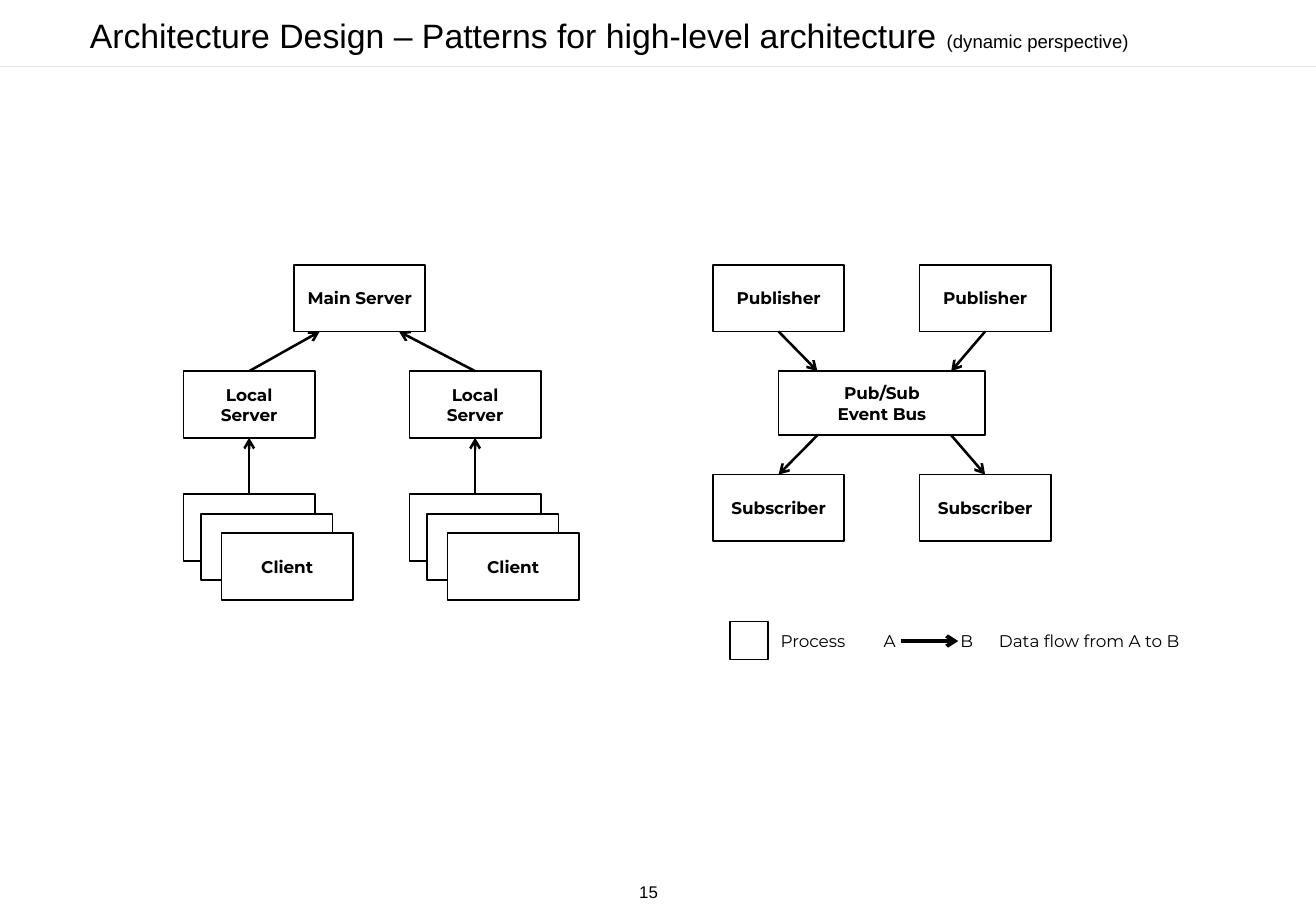
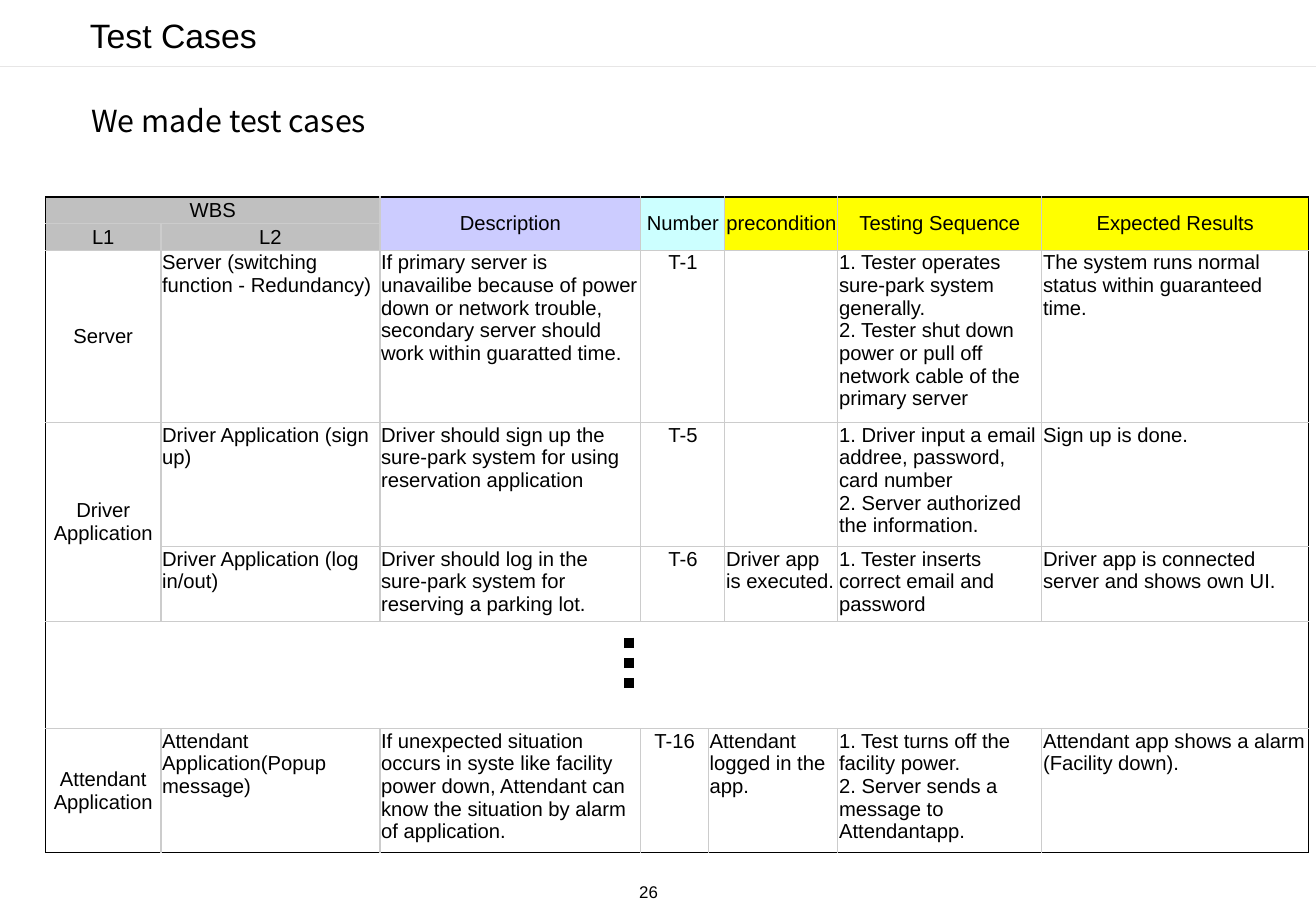
from lxml.etree import SubElement
from pptx import Presentation
from pptx.dml.color import RGBColor
from pptx.enum.dml import MSO_LINE
from pptx.enum.shapes import MSO_CONNECTOR, MSO_SHAPE
from pptx.enum.text import MSO_ANCHOR, MSO_AUTO_SIZE, PP_ALIGN
from pptx.oxml.ns import qn
from pptx.util import Pt

BLACK = RGBColor(0x00, 0x00, 0x00)
WHITE = RGBColor(0xFF, 0xFF, 0xFF)
RULE_GREY = RGBColor(0xE7, 0xE6, 0xE6)
GRID_GREY = RGBColor(0xCC, 0xCC, 0xCC)
WBS_GREY = RGBColor(0xC0, 0xC0, 0xC0)
LAVENDER = RGBColor(0xCC, 0xCC, 0xFF)
CYAN = RGBColor(0xCC, 0xFF, 0xFF)
YELLOW = RGBColor(0xFF, 0xFF, 0x00)

TEXT_FONT = "Arial"
DIAGRAM_FONT = "Montserrat"
LEAD_FONT = "Noto Sans CJK KR"
SLIDE_W, SLIDE_H = 780, 540
BOX_W, BOX_H = 77.8, 39.5
TITLE_LAYOUT, CONTENT_LAYOUT = 5, 1
NO_STYLE = "{2D5ABB26-0587-4C30-8999-92F81FD0307C}"

COLUMNS = (68.4, 129.8, 154.7, 40, 9.8, 67, 120.9, 158.2)
ROWS = (15.1, 15.1, 101.3, 72.9, 43.9, 63.4, 73.5)
MERGES = (
    ((0, 0), (0, 1)), ((0, 2), (1, 2)), ((0, 3), (1, 4)), ((0, 5), (1, 5)),
    ((0, 6), (1, 6)), ((0, 7), (1, 7)), ((2, 3), (2, 4)), ((3, 3), (3, 4)),
    ((3, 0), (4, 0)), ((4, 3), (4, 4)), ((5, 0), (5, 7)), ((6, 4), (6, 5)),
)
HEADER_FILLS = (WBS_GREY, WBS_GREY, LAVENDER, CYAN, CYAN, YELLOW, YELLOW, YELLOW)
TEST_CASES = (
    ("WBS", "", "Description", "Number", "", "precondition",
     "Testing Sequence", "Expected Results"),
    ("L1", "L2", "", "", "", "", "", ""),
    ("Server", "Server (switching function - Redundancy)",
     "If primary server is unavailibe because of power down or network trouble, "
     "secondary server should work within guaratted time.",
     "T-1", "", "",
     "1. Tester operates sure-park system generally.\n"
     "2. Tester shut down power or pull off network cable of the primary server",
     "The system runs normal status within guaranteed time."),
    ("Driver Application", "Driver Application (sign up)",
     "Driver should sign up the sure-park system for using reservation application",
     "T-5", "", "",
     "1. Driver input a email addree, password, card number\n"
     "2. Server authorized the information.",
     "Sign up is done."),
    ("", "Driver Application (log in/out)",
     "Driver should log in the sure-park system for reserving a parking lot.",
     "T-6", "", "Driver app\nis executed.",
     "1. Tester inserts correct email and password",
     "Driver app is connected server and shows own UI."),
    ("",) * 8,
    ("Attendant Application", "Attendant Application(Popup message)",
     "If unexpected situation occurs in syste like facility power down, "
     "Attendant can know the situation by alarm of application.",
     "T-16", "Attendant logged in the app.", "",
     "1. Test turns off the facility power.\n"
     "2. Server sends a message to Attendantapp.",
     "Attendant app shows a alarm (Facility down)."),
)


def format_text(frame, font, size, bold=False, align=PP_ALIGN.LEFT):
    """Give every paragraph and run of a frame one style."""
    for paragraph in frame.paragraphs:
        paragraph.alignment = align
        paragraph.space_before = Pt(0)
        for run in paragraph.runs:
            run.font.name = font
            run.font.size = Pt(size)
            run.font.bold = bold
            run.font.color.rgb = BLACK


def place(shape, left, top, width, height):
    """Move and resize a shape, in points."""
    shape.left, shape.top = Pt(left), Pt(top)
    shape.width, shape.height = Pt(width), Pt(height)


def add_line(slide, start, end, color=BLACK, weight=1.5, arrow=False):
    """Draw a straight line, with an open arrowhead at its end if wanted."""
    line = slide.shapes.add_connector(
        MSO_CONNECTOR.STRAIGHT, *(Pt(value) for value in (*start, *end)))
    line.line.color.rgb = color
    line.line.width = Pt(weight)
    if arrow:
        SubElement(line.line._get_or_add_ln(), qn("a:tailEnd"), type="arrow")
    SubElement(line._element.spPr, qn("a:effectLst"))
    return line


def add_label(slide, text, left, top, width, height, font=DIAGRAM_FONT):
    """Add a plain 10 pt text box."""
    label = slide.shapes.add_textbox(Pt(left), Pt(top), Pt(width), Pt(height))
    label.text_frame.word_wrap = True
    label.text_frame.text = text
    format_text(label.text_frame, font, 10)
    return label.text_frame


def add_box(slide, text, left, top, width=BOX_W, height=BOX_H, filled=False):
    """Draw an outlined process box with a centred bold caption."""
    box = slide.shapes.add_shape(
        MSO_SHAPE.RECTANGLE, Pt(left), Pt(top), Pt(width), Pt(height))
    box.shadow.inherit = False
    if filled:
        box.fill.solid()
        box.fill.fore_color.rgb = WHITE
    else:
        box.fill.background()
    box.line.color.rgb = BLACK
    box.line.width = Pt(1)
    if text:
        box.text_frame.text = text
        box.text_frame.vertical_anchor = MSO_ANCHOR.MIDDLE
        format_text(box.text_frame, DIAGRAM_FONT, 10, True, PP_ALIGN.CENTER)


def fill_placeholder(placeholder, text, font, size, anchor):
    """Write unbulleted text, indented by half an inch, in a placeholder."""
    frame = placeholder.text_frame
    frame.text = text
    frame.auto_size = MSO_AUTO_SIZE.NONE
    frame.vertical_anchor = anchor
    frame.margin_left = Pt(43.2)
    properties = frame.paragraphs[0]._p.get_or_add_pPr()
    properties.set("marL", "0")
    properties.set("indent", "0")
    SubElement(properties, qn("a:buNone"))
    format_text(frame, font, size)


def start_slide(deck, layout, title, number, subtitle=""):
    """Add a slide with its title, header rule and page number."""
    slide = deck.slides.add_slide(deck.slide_layouts[layout])
    heading = slide.shapes.title
    place(heading, 10, 2.5, 754, 36)
    fill_placeholder(heading, title, TEXT_FONT, 20, MSO_ANCHOR.MIDDLE)
    if subtitle:
        note = heading.text_frame.paragraphs[0].add_run()
        note.text = subtitle
        note.font.name = TEXT_FONT
        note.font.size = Pt(11)
        note.font.color.rgb = BLACK
    add_line(slide, (0, 39.5), (SLIDE_W, 39.5), RULE_GREY, 1)
    page = add_label(slide, number, 376, 520, 18, 18, TEXT_FONT)
    page.margin_left = page.margin_right = Pt(2.9)
    page.margin_top = page.margin_bottom = Pt(2.9)
    return slide


def add_server_tree(slide):
    """Draw clients reporting to local servers and a main server."""
    main_top, local_top, client_top = 157, 220, 293
    add_box(slide, "Main Server", 174.3, main_top)
    for left, main_entry in ((108.8, 189.5), (242.7, 236.5)):
        center = left + BOX_W / 2
        add_box(slide, "Local Server", left, local_top)
        for dx, dy, caption in ((0, 0, ""), (10.5, 11.5, ""), (22.5, 23, "Client")):
            add_box(slide, caption, left + dx, client_top + dy, filled=dx > 0)
        add_line(slide, (center, client_top), (center, local_top + BOX_H), arrow=True)
        add_line(slide, (center, local_top), (main_entry, main_top + BOX_H), arrow=True)


def add_event_bus(slide):
    """Draw publishers and subscribers joined by the event bus."""
    publisher_top, bus_top, bus_height, subscriber_top = 157, 220, 38, 281.3
    add_box(slide, "Pub/Sub\nEvent Bus", 461.5, bus_top, 122.4, bus_height)
    for left, port in ((422.6, 484.5), (545, 563.8)):
        center = left + BOX_W / 2
        add_box(slide, "Publisher", left, publisher_top)
        add_box(slide, "Subscriber", left, subscriber_top)
        add_line(slide, (center, publisher_top + BOX_H), (port, bus_top), arrow=True)
        add_line(slide, (port, bus_top + bus_height), (center, subscriber_top), arrow=True)


def add_legend(slide):
    """Explain the process box and the data flow arrow."""
    add_box(slide, "", 432.8, 368.5, 22.5, 22.5)
    for text, left, width in (("Process", 455.6, 59), ("A", 516.6, 22.6),
                              ("B", 562.2, 22.6), ("Data flow from A to B", 585, 133.5)):
        add_label(slide, text, left, 370.4, width, 19.4)
    add_line(slide, (534, 380), (568, 380), weight=2.25, arrow=True)


def add_borders(cell, row, column):
    """Draw grey cell edges, black where they meet the table's outline."""
    edges = (
        ("a:lnL", column == 0),
        ("a:lnR", column + cell.span_width >= len(COLUMNS)),
        ("a:lnT", row == 0),
        ("a:lnB", row + cell.span_height >= len(ROWS)),
    )
    for tag, outer in edges:
        edge = SubElement(cell._tc.get_or_add_tcPr(), qn(tag), w=str(Pt(0.75)))
        paint = SubElement(edge, qn("a:solidFill"))
        SubElement(paint, qn("a:srgbClr"), val=str(BLACK if outer else GRID_GREY))


def format_cell(cell, row, column):
    """Write one test case cell with its borders, fill and alignment."""
    cell.margin_left = cell.margin_right = Pt(0.7)
    cell.margin_top = cell.margin_bottom = Pt(0.7)
    if cell.is_spanned:
        return
    add_borders(cell, row, column)
    header = row < 2
    if header:
        cell.fill.solid()
        cell.fill.fore_color.rgb = HEADER_FILLS[column]
    else:
        cell.fill.background()
    middle = header or column == 0
    cell.vertical_anchor = MSO_ANCHOR.MIDDLE if middle else MSO_ANCHOR.TOP
    cell.text_frame.text = TEST_CASES[row][column]
    centered = middle or column == 3
    format_text(cell.text_frame, TEXT_FONT, 12,
                align=PP_ALIGN.CENTER if centered else PP_ALIGN.LEFT)


def add_test_table(slide):
    """Build the table of test cases with its merged cells."""
    holder = slide.shapes.add_table(
        len(ROWS), len(COLUMNS), Pt(27), Pt(116.8), Pt(sum(COLUMNS)), Pt(sum(ROWS)))
    table = holder.table
    table.first_row = table.horz_banding = False
    table._tbl.tblPr.find(qn("a:tableStyleId")).text = NO_STYLE
    for column, width in zip(table.columns, COLUMNS):
        column.width = Pt(width)
    for row, height in zip(table.rows, ROWS):
        row.height = Pt(height)
    for first, last in MERGES:
        table.cell(*first).merge(table.cell(*last))
    for row in range(len(ROWS)):
        for column in range(len(COLUMNS)):
            format_cell(table.cell(row, column), row, column)


def main():
    """Build and save both slides."""
    deck = Presentation()
    deck.slide_width, deck.slide_height = Pt(SLIDE_W), Pt(SLIDE_H)

    architecture = start_slide(
        deck, TITLE_LAYOUT, "Architecture Design – Patterns for high-level architecture ",
        "15", "(dynamic perspective)")
    add_server_tree(architecture)
    add_event_bus(architecture)
    add_legend(architecture)

    testing = start_slide(deck, CONTENT_LAYOUT, "Test Cases", "26")
    lead = testing.placeholders[1]
    place(lead, 10.8, 57, 646.5, 51)
    fill_placeholder(lead, "We made test cases", LEAD_FONT, 18, MSO_ANCHOR.TOP)
    add_test_table(testing)
    omitted_rows = add_line(testing, (373, 378), (373, 412), weight=6)
    omitted_rows.line.dash_style = MSO_LINE.ROUND_DOT

    deck.save("out.pptx")


if __name__ == "__main__":
    main()
